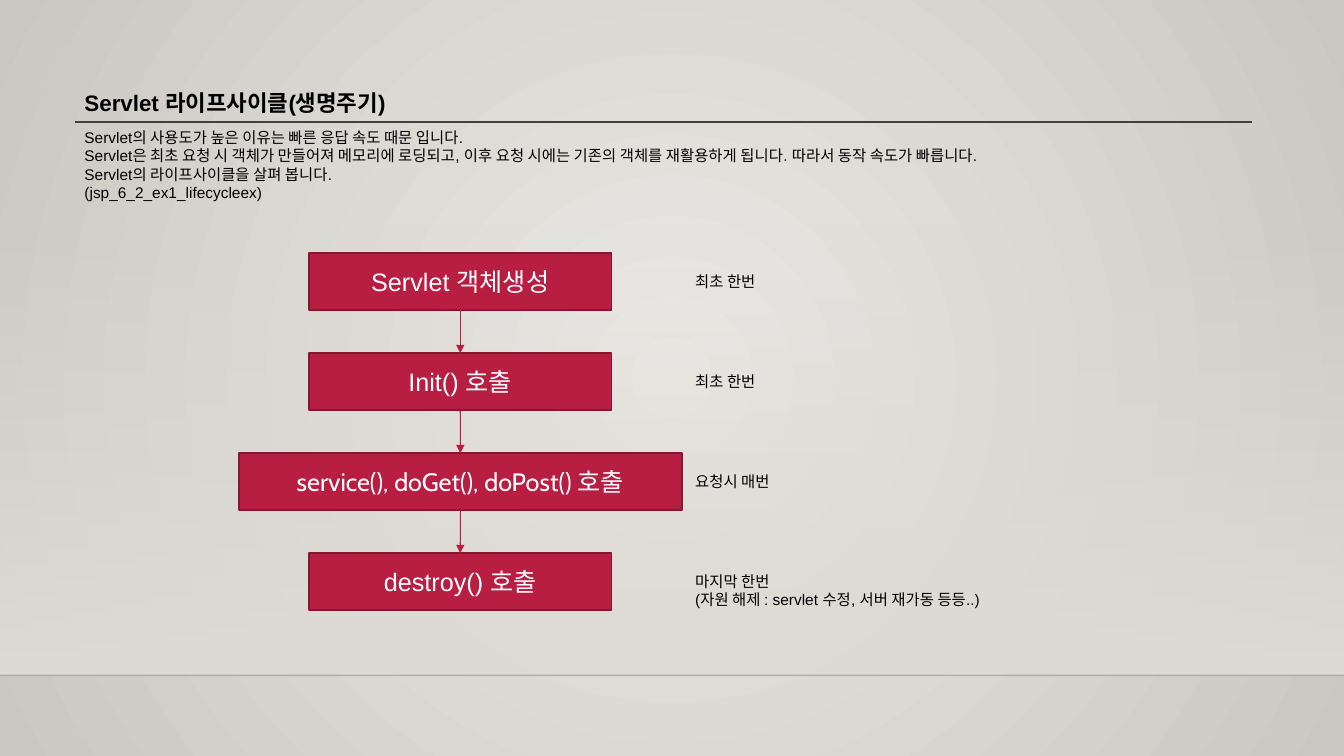
from dataclasses import dataclass
from typing import Any

from lxml import etree
from pptx import Presentation
from pptx import util as u
from pptx.dml.color import RGBColor
from pptx.enum import shapes, text
from pptx.oxml.ns import qn


@dataclass(frozen=True)
class Theme:
    ink: str = "000000"
    white: str = "FFFFFF"
    rule: str = "404040"
    crimson: str = "B71E42"
    crimson_edge: str = "871631"
    backdrop_center: str = "ECEAE7"
    backdrop_edge: str = "CAC7C1"
    wall: str = "DFDBD5"
    horizon: str = "000001"
    font: str = "Arial"
    service_font: str = "Cabin"
    title_size: float = 16
    body_size: float = 11
    step_size: float = 18


@dataclass(frozen=True)
class Step:
    label: str
    note: tuple[str, ...]
    note_width: float
    note_height: float = 0.74
    width: float = 7.62
    font: str = Theme.font


THEME = Theme()
SLIDE_WIDTH, SLIDE_HEIGHT = 33.87, 19.05
MARGIN, CONTENT_WIDTH = 1.88, 29.67
RULE_Y = 3.07
HORIZON_Y = 17.02
WALL_TOP = 5.61
STEP_CENTER, STEP_TOP, STEP_PITCH, STEP_HEIGHT = 11.6, 6.38, 2.52, 1.44
NOTE_LEFT, NOTE_DROP = 17.27, 0.35

TITLE = ("Servlet 라이프사이클(생명주기)",)
INTRO = (
    "Servlet의 사용도가 높은 이유는 빠른 응답 속도 때문 입니다.",
    "Servlet은 최초 요청 시 객체가 만들어져 메모리에 로딩되고, 이후 요청 시에는 기존의 객체를 "
    "재활용하게 됩니다. 따라서 동작 속도가 빠릅니다.",
    "Servlet의 라이프사이클을 살펴 봅니다.",
    "(jsp_6_2_ex1_lifecycleex)",
)
STEPS = (
    Step("Servlet 객체생성", ("최초 한번",), 2.36),
    Step("Init() 호출", ("최초 한번",), 2.36),
    Step("service(), doGet(), doPost() 호출", ("요청시 매번",), 3.2,
         width=11.16, font=THEME.service_font),
    Step("destroy() 호출", ("마지막 한번", "(자원 해제 : servlet 수정, 서버 재가동 등등..)"),
         8.6, note_height=1.19),
)


def color(value: str) -> RGBColor:
    return RGBColor.from_string(value)


def set_alpha(color_element: Any, percent: int) -> None:
    etree.SubElement(color_element, qn("a:alpha"), val=str(percent * 1000))


def set_gradient(fill: Any, first: str, last: str) -> None:
    fill.gradient()
    for stop, value in zip(fill.gradient_stops, (first, last)):
        stop.color.rgb = color(value)


def write(shape: Any, lines: tuple[str, ...], size: float, ink: str,
          font: str = THEME.font, bold: bool = False,
          alignment: Any = text.PP_ALIGN.LEFT) -> None:
    frame = shape.text_frame
    frame.word_wrap = True
    frame.text = "\n".join(lines)
    font_format = {"size": u.Pt(size), "name": font, "bold": bold}
    for paragraph in frame.paragraphs:
        paragraph.alignment = alignment
        for run in paragraph.runs:
            for name, value in font_format.items():
                setattr(run.font, name, value)
            run.font.color.rgb = color(ink)


def add_text(slide: Any, left: float, top: float, width: float, height: float,
             lines: tuple[str, ...], size: float, bold: bool = False) -> None:
    shape = slide.shapes.add_textbox(u.Cm(left), u.Cm(top), u.Cm(width), u.Cm(height))
    write(shape, lines, size, THEME.ink, bold=bold)


def add_rectangle(slide: Any, left: float, top: float, width: float, height: float) -> Any:
    shape = slide.shapes.add_shape(shapes.MSO_SHAPE.RECTANGLE, u.Cm(left), u.Cm(top),
                                   u.Cm(width), u.Cm(height))
    shape.shadow.inherit = False
    return shape


def add_line(slide: Any, left: float, right: float, y: float, ink: str,
             weight: float) -> Any:
    line = slide.shapes.add_connector(shapes.MSO_CONNECTOR.STRAIGHT, u.Cm(left), u.Cm(y),
                                      u.Cm(right), u.Cm(y))
    line.line.color.rgb = color(ink)
    line.line.width = u.Pt(weight)
    etree.SubElement(line.element.spPr, qn("a:effectLst"))
    return line


def add_backdrop(slide: Any) -> None:
    set_gradient(slide.background.fill, THEME.backdrop_center, THEME.backdrop_edge)
    gradient = slide.element.find(".//" + qn("a:gradFill"))
    gradient.remove(gradient.find(qn("a:lin")))
    circle = etree.SubElement(gradient, qn("a:path"), path="circle")
    etree.SubElement(circle, qn("a:fillToRect"), l="50000", t="50000", r="50000", b="50000")

    wall = add_rectangle(slide, 0, WALL_TOP, SLIDE_WIDTH, HORIZON_Y - WALL_TOP)
    set_gradient(wall.fill, THEME.wall, THEME.wall)
    wall.fill.gradient_angle = 270
    wall.line.fill.background()
    set_alpha(wall.element.spPr.find(".//" + qn("a:srgbClr")), 0)

    horizon = add_line(slide, 0, SLIDE_WIDTH, HORIZON_Y, THEME.horizon, 1)
    set_alpha(horizon.element.spPr.find(".//" + qn("a:srgbClr")), 20)


def add_step(slide: Any, step: Step, top: float) -> Any:
    box = add_rectangle(slide, STEP_CENTER - step.width / 2, top, step.width, STEP_HEIGHT)
    box.fill.solid()
    box.fill.fore_color.rgb = color(THEME.crimson)
    box.line.color.rgb = color(THEME.crimson_edge)
    box.line.width = u.Pt(1.25)
    box.text_frame.vertical_anchor = text.MSO_ANCHOR.MIDDLE
    write(box, (step.label,), THEME.step_size, THEME.white, step.font,
          alignment=text.PP_ALIGN.CENTER)
    add_text(slide, NOTE_LEFT, top + NOTE_DROP, step.note_width, step.note_height,
             step.note, THEME.body_size)
    return box


def add_arrow(slide: Any, upper: Any, lower: Any) -> None:
    arrow = add_line(slide, STEP_CENTER, STEP_CENTER, STEP_TOP, THEME.crimson, 0.75)
    arrow.begin_connect(upper, 2)
    arrow.end_connect(lower, 0)
    etree.SubElement(arrow.element.spPr.find(qn("a:ln")), qn("a:tailEnd"), type="triangle")


def main() -> None:
    presentation = Presentation()
    presentation.slide_width = u.Cm(SLIDE_WIDTH)
    presentation.slide_height = u.Cm(SLIDE_HEIGHT)
    slide = presentation.slides.add_slide(presentation.slide_layouts[6])

    add_backdrop(slide)
    add_text(slide, MARGIN, 2.11, CONTENT_WIDTH, 0.94, TITLE, THEME.title_size, bold=True)
    add_line(slide, MARGIN, MARGIN + CONTENT_WIDTH, RULE_Y, THEME.rule, 1)
    add_text(slide, MARGIN, 3.1, CONTENT_WIDTH, 2.13, INTRO, THEME.body_size)

    boxes = [add_step(slide, step, STEP_TOP + index * STEP_PITCH)
             for index, step in enumerate(STEPS)]
    for upper, lower in zip(boxes, boxes[1:]):
        add_arrow(slide, upper, lower)

    presentation.save("out.pptx")


if __name__ == "__main__":
    main()
